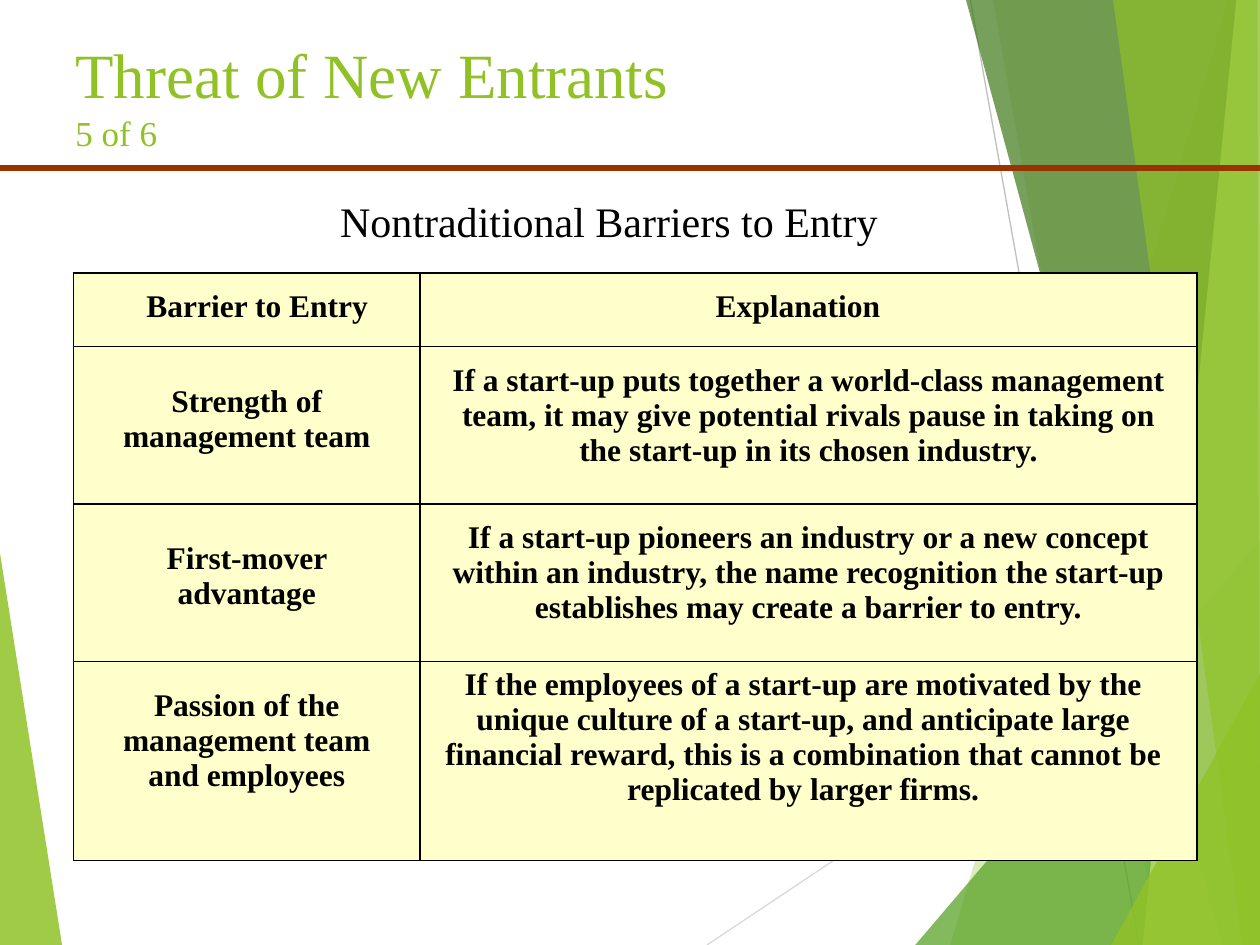
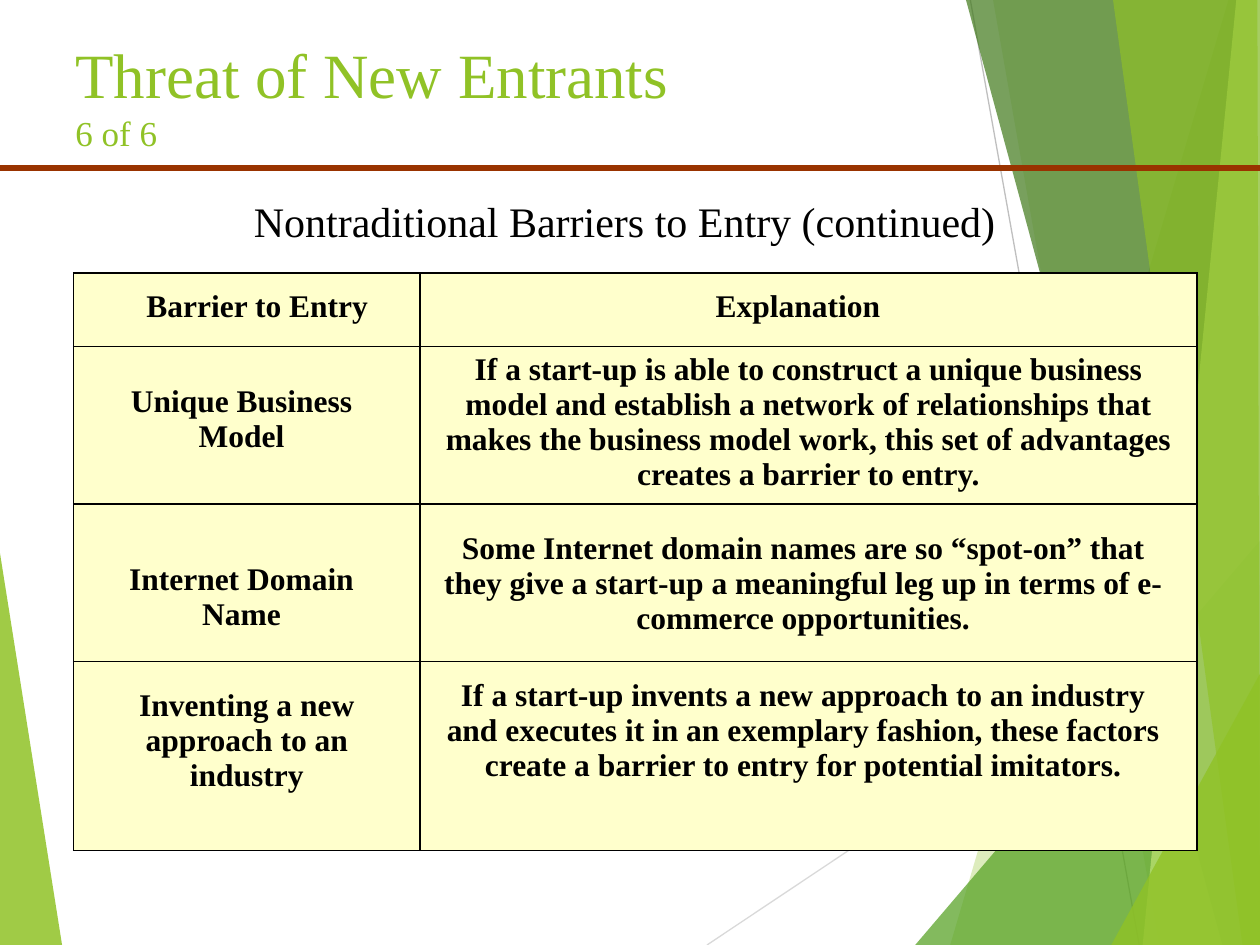
"""Builds two slides on nontraditional barriers to entry."""
from dataclasses import dataclass

from lxml.etree import SubElement
from pptx import Presentation
from pptx.dml.color import RGBColor as Color
from pptx.enum.shapes import MSO_CONNECTOR as Link
from pptx.enum.text import PP_ALIGN as Align
from pptx.oxml.ns import qn
from pptx.util import Pt


@dataclass(frozen=True)
class Theme:
    font: str = "Times New Roman"
    lime: str = "90C226"
    green: str = "54A021"
    dark: str = "3F7819"
    pale: str = "C0E474"
    gray: str = "BFBFBF"
    light: str = "D9D9D9"
    rust: str = "993300"
    cream: str = "FFFFCC"
    black: str = "000000"
    title: int = 36
    count: int = 20
    head: int = 24
    body: int = 18
    thin: float = 0.75
    thick: float = 3


THEME = Theme()
WIDE, HIGH = 720, 540
LEFT, TOP = 42, 156
COLS = 198, 444

FACETS = [
    ([(0, 316), (35.5, HIGH), (0, HIGH)], THEME.lime, 85),
    ([(702, 0), (543, HIGH), (WIDE, HIGH), (WIDE, 0)], THEME.lime, 30),
    ([(567.5, 0), (662.5, HIGH), (WIDE, HIGH), (WIDE, 0)], THEME.lime, 20),
    ([(523, HIGH), (WIDE, 309), (WIDE, HIGH)], THEME.green, 72),
    ([(552, 0), (698.5, HIGH), (WIDE, HIGH), (WIDE, 0)], THEME.dark, 70),
    ([(706.5, 0), (653, HIGH), (WIDE, HIGH), (WIDE, 0)], THEME.pale, 70),
    ([(636, 0), (710, HIGH), (WIDE, HIGH), (718.5, 0)], THEME.lime, 65),
    ([(635, HIGH), (WIDE, 385), (WIDE, HIGH)], THEME.lime, 80),
]

HEADER = [("Barrier to Entry", (12, 9.6, 0)),
          ("Explanation", (31.2, 9.6, 43.2))]

PAGES = [
    ("5 of 6", "Nontraditional Barriers to Entry", (156, 384), (42, 90, 90, 114), [
        [("Strength of management team", (13.2, 21.6, 13.2)),
         ("If a start-up puts together a world-class management team, it may give "
          "potential rivals pause in taking on the start-up in its chosen industry.",
          (13.2, 9.6, 13.2))],
        [("First-mover advantage", (13.2, 21.6, 13.2)),
         ("If a start-up pioneers an industry or a new concept within an industry, "
          "the name recognition the start-up establishes may create a barrier to entry.",
          (13.2, 9.6, 13.2))],
        [("Passion of the management team and employees", (13.2, 15.6, 13.2)),
         ("If the employees of a start-up are motivated by the unique culture of a "
          "start-up, and anticipate large financial reward, this is a combination "
          "that cannot be replicated by larger firms.", (7.2, 3.6, 13.2))],
    ]),
    ("6 of 6", "Nontraditional Barriers to Entry (continued)", (120, 474), (42, 90, 90, 108), [
        [("Unique Business Model", (13.2, 21.6, 19.2)),
         ("If a start-up is able to construct a unique business model and establish "
          "a network of relationships that makes the business model work, this set "
          "of advantages creates a barrier to entry.", (13.2, 3.6, 13.2))],
        [("Internet Domain Name", (13.2, 33.6, 19.2)),
         ("Some Internet domain names are so “spot-on” that they give a start-up a "
          "meaningful leg up in terms of e-commerce opportunities.",
          (13.2, 15.6, 19.2))],
        [("Inventing a new approach to an industry", (13.2, 15.6, 13.2)),
         ("If a start-up invents a new approach to an industry and executes it in an "
          "exemplary fashion, these factors create a barrier to entry for potential "
          "imitators.", (13.2, 9.6, 19.2))],
    ]),
]


class Deck:
    def __init__(self, theme):
        self.theme = theme
        self.show = Presentation()
        self.show.slide_width, self.show.slide_height = Pt(WIDE), Pt(HIGH)

    def page(self):
        self.slide = self.show.slides.add_slide(self.show.slide_layouts[6])
        self.shapes = self.slide.shapes

    def style(self, par, size, color, bold=False):
        font = par.font
        font.name, font.size, font.bold = self.theme.font, Pt(size), bold
        font.color.rgb = Color.from_string(color)

    def line(self, start, end, color, width):
        link = self.shapes.add_connector(Link.STRAIGHT, *map(Pt, start + end))
        link.line.color.rgb = Color.from_string(color)
        link.line.width = Pt(width)
        SubElement(link._element.spPr, qn("a:effectLst"))

    def facet(self, points, color, alpha):
        first, *rest = [(Pt(x), Pt(y)) for x, y in points]
        pen = self.shapes.build_freeform(*first)
        pen.add_line_segments(rest, close=True)
        shape = pen.convert_to_shape()
        shape.shadow.inherit = False
        shape.line.fill.background()
        shape.fill.solid()
        shape.fill.fore_color.rgb = Color.from_string(color)
        tint = shape._element.spPr.find(qn("a:solidFill"))[0]
        SubElement(tint, qn("a:alpha"), val=str(alpha * 1000))

    def decor(self):
        first, *rest = FACETS
        self.facet(*first)
        self.line((404, HIGH), (WIDE, 329), self.theme.light, self.theme.thin)
        self.line((554.5, 0), (651, HIGH), self.theme.gray, self.theme.thin)
        for facet in rest:
            self.facet(*facet)

    def box(self, x, y, wide, high):
        frame = self.shapes.add_textbox(*map(Pt, (x, y, wide, high))).text_frame
        frame.word_wrap = True
        return frame

    def title(self, text, count):
        frame = self.box(36, 12, 648, 90)
        frame.margin_top = Pt(8.5)
        par = frame.paragraphs[0]
        par.add_run().text = text
        par.add_line_break()
        part = par.add_run()
        part.text = count
        self.style(par, self.theme.title, self.theme.lime)
        part.font.size = Pt(self.theme.count)
        self.line((0, 96), (WIDE, 96), self.theme.rust, self.theme.thick)

    def head(self, text, x, wide):
        par = self.box(x, 108, wide, 36).paragraphs[0]
        par.text, par.alignment = text, Align.CENTER
        self.style(par, self.theme.head, self.theme.black)

    def cell(self, cell, text, pads):
        left, top, right = map(Pt, pads)
        cell.margin_left, cell.margin_top = left, top
        cell.margin_right, cell.margin_bottom = right, 0
        par = cell.text_frame.paragraphs[0]
        par.text, par.alignment = text, Align.CENTER
        self.style(par, self.theme.body, self.theme.black, True)
        props = cell._tc.get_or_add_tcPr()
        for side in "LRTB":
            edge = SubElement(props, qn(f"a:ln{side}"), w=str(Pt(self.theme.thin)))
            fill = SubElement(edge, qn("a:solidFill"))
            SubElement(fill, qn("a:srgbClr"), val=self.theme.black)
        cell.fill.solid()
        cell.fill.fore_color.rgb = Color.from_string(self.theme.cream)

    def table(self, rows, highs):
        size = LEFT, TOP, sum(COLS), sum(highs)
        table = self.shapes.add_table(len(rows), len(COLS), *map(Pt, size)).table
        table.first_row = table.horz_banding = False
        for col, wide in zip(table.columns, COLS):
            col.width = Pt(wide)
        for row, high, cells in zip(table.rows, highs, rows):
            row.height = Pt(high)
            for cell, (text, pads) in zip(row.cells, cells):
                self.cell(cell, text, pads)


def main():
    deck = Deck(THEME)
    for count, head, span, highs, rows in PAGES:
        deck.page()
        deck.decor()
        deck.title("Threat of New Entrants", count)
        deck.head(head, *span)
        deck.table([HEADER] + rows, highs)
    deck.show.save("out.pptx")


if __name__ == "__main__":
    main()
